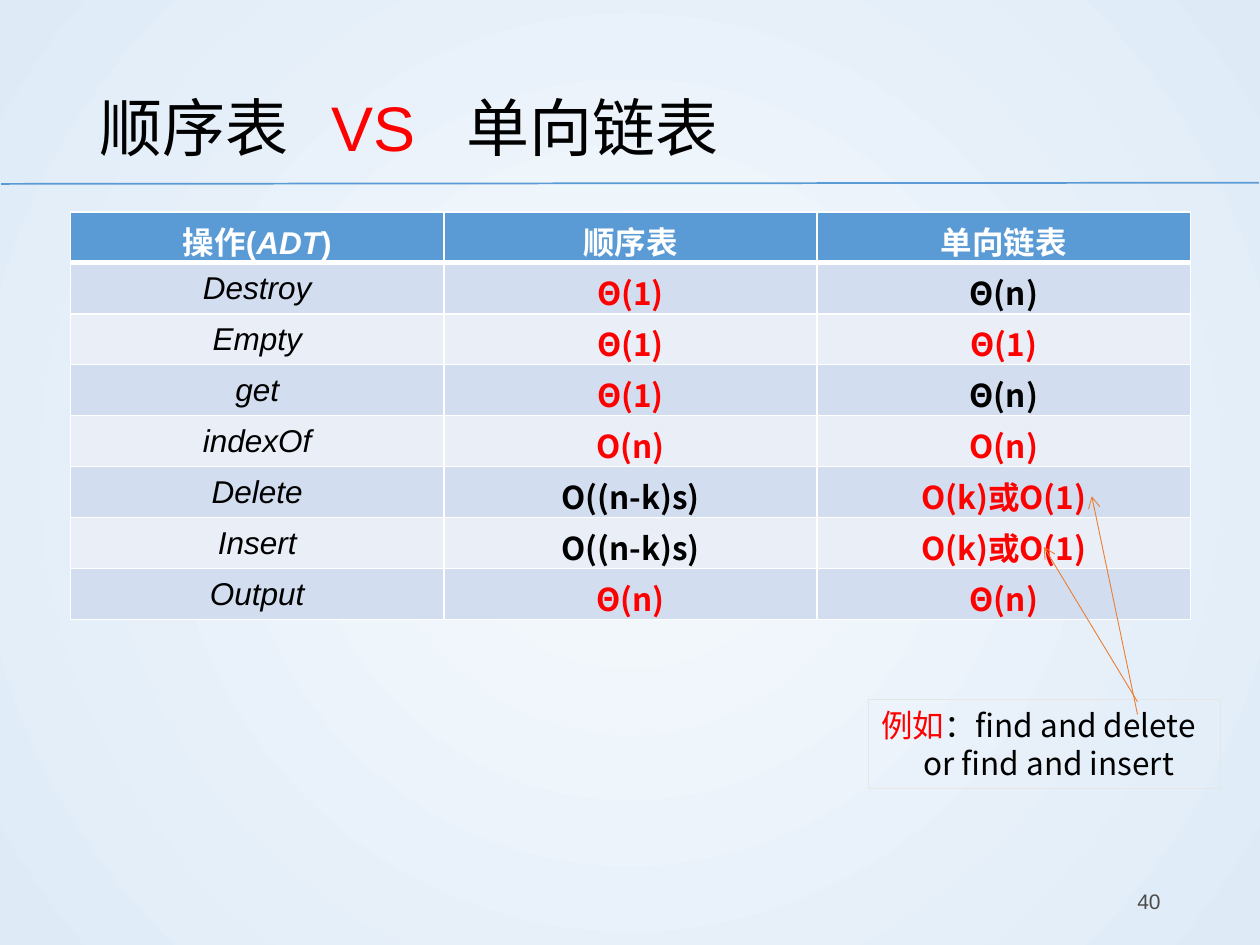
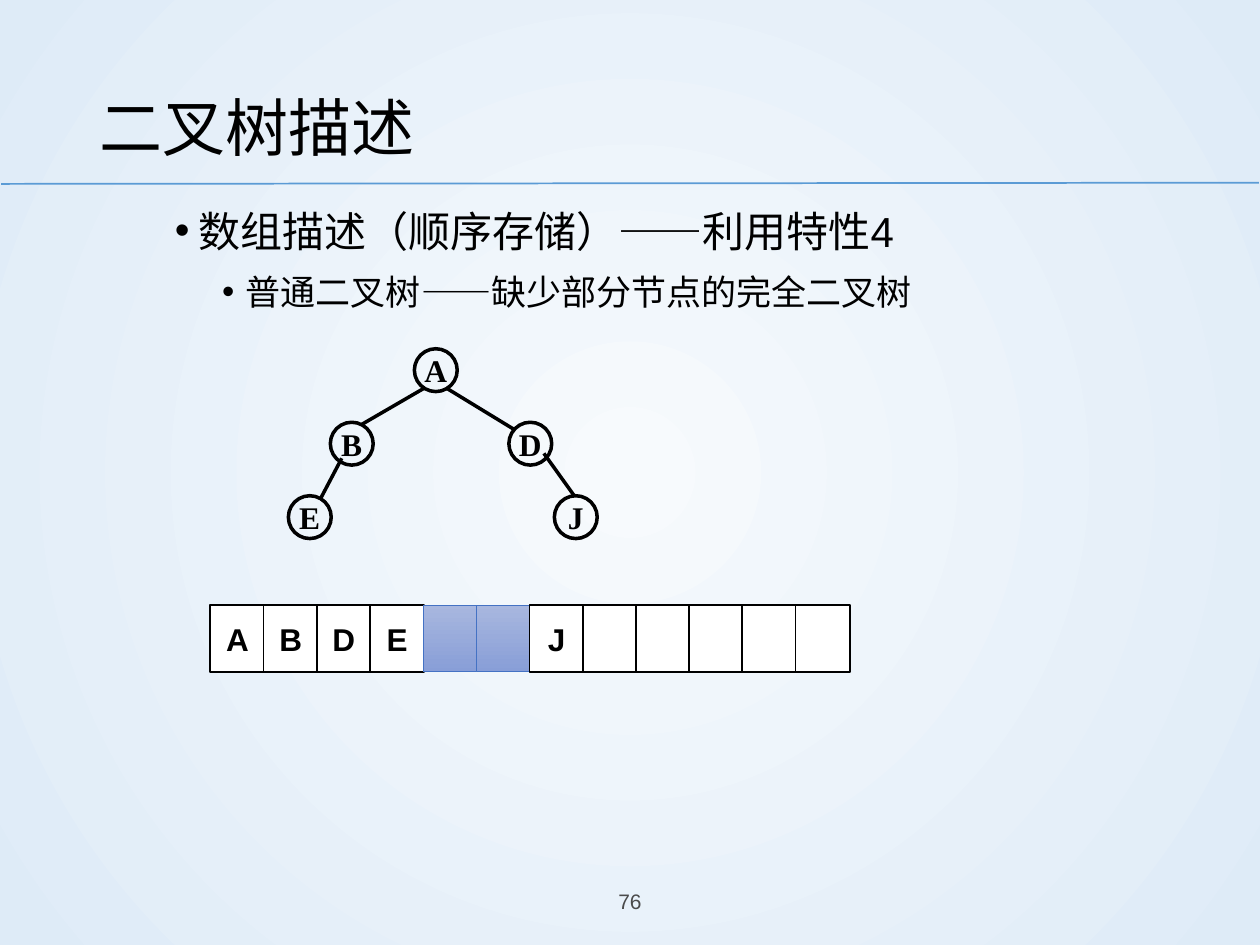
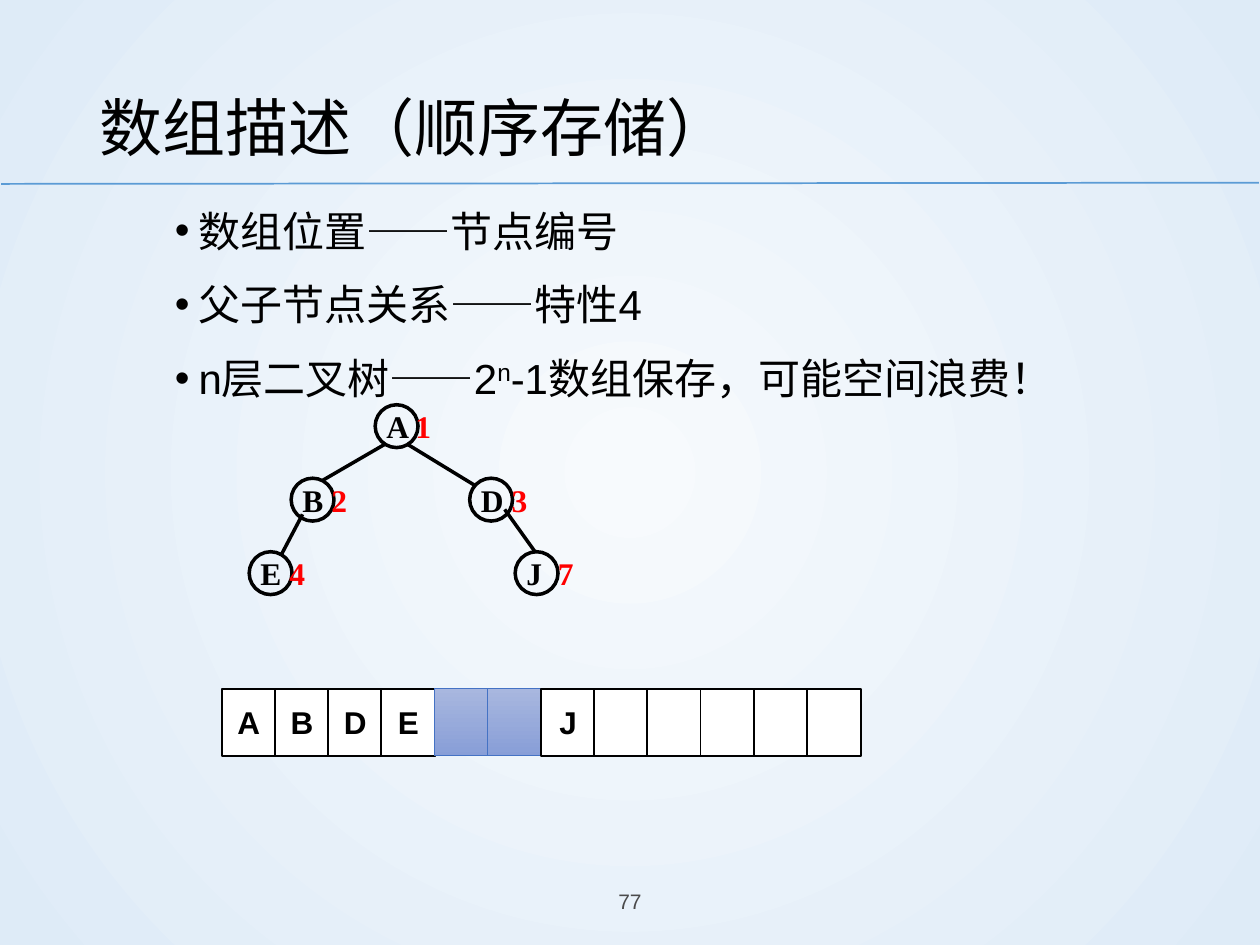
from dataclasses import dataclass

from lxml import etree
from pptx import Presentation, util as u
from pptx.dml.color import RGBColor
from pptx.enum import shapes, text
from pptx.oxml.ns import qn

Pt = u.Pt
LEFT, MID, RIGHT = text.PP_ALIGN.LEFT, text.PP_ALIGN.CENTER, text.PP_ALIGN.RIGHT


@dataclass(frozen=True)
class Theme:
    black: str = "000000"
    white: str = "FFFFFF"
    red: str = "FF0000"
    gray: str = "4B4B4B"
    blue: str = "5B9BD5"
    orange: str = "ED7D31"
    pale: str = "E7E6E6"
    edge: str = "4472C4"
    glow: tuple = ("F7FAFD", "DEEBF7")
    empty: tuple = ("A8B7DF", "889ED7")
    bands: tuple = ("D2DEEF", "EAEFF7")
    sans: str = "Arial"
    han: str = "Noto Sans CJK SC"
    serif: str = "Times New Roman"
    title: int = 36
    body: int = 24
    sub: int = 20
    label: int = 18
    page: int = 12


T = Theme()


def put(obj, fmt):
    for key, val in fmt.items():
        setattr(obj, key, val)


def add(node, tag, **attrs):
    kid = etree.SubElement(node, qn(tag))
    for key, val in attrs.items():
        kid.set(key, str(val))
    return kid


def style(size, color=T.black, name=T.sans, bold=False, italic=False):
    return {"size": Pt(size), "color": color, "name": name,
            "bold": bold, "italic": italic}


def write(para, runs, base, **fmt):
    """Fill a paragraph; each run is a string or (string, changes to base).
    The keys raw and color go beside the plain font attributes."""
    put(para, fmt)
    for item in runs:
        word, more = (item, {}) if isinstance(item, str) else item
        look = {**base, **more}
        raw = look.pop("raw", {})
        run = para.add_run()
        run.text = word
        run.font.color.rgb = RGBColor.from_string(look.pop("color"))
        put(run.font, look)
        props = run.font._element
        add(props, "a:ea", typeface=T.han)
        for key, val in raw.items():
            props.set(key, val)


def frame(shape, wrap=True, anchor=text.MSO_ANCHOR.MIDDLE, **more):
    body = shape.text_frame
    put(body, {"word_wrap": wrap, "vertical_anchor": anchor, **more})
    return body


def box(slide, left, top, wide, high, **more):
    shape = slide.shapes.add_textbox(Pt(left), Pt(top), Pt(wide), Pt(high))
    return frame(shape, **more)


def stroke(line, color, width):
    line.color.rgb = RGBColor.from_string(color)
    line.width = Pt(width)


def shade(fill, colors):
    fill.gradient()
    for stop, color in zip(fill.gradient_stops, colors):
        stop.color.rgb = RGBColor.from_string(color)


def solid(fill, color):
    fill.solid()
    fill.fore_color.rgb = RGBColor.from_string(color)


def form(slide, kind, left, top, wide, high, color, width):
    shape = slide.shapes.add_shape(kind, Pt(left), Pt(top), Pt(wide), Pt(high))
    shape.shadow.inherit = False
    shape.fill.background()
    stroke(shape.line, color, width)
    return shape


def link(slide, start, end, color, width, arrow=False):
    line = slide.shapes.add_connector(
        shapes.MSO_CONNECTOR.STRAIGHT, *map(Pt, (*start, *end)))
    stroke(line.line, color, width)
    props = line._element.spPr
    add(props, "a:effectLst")
    if arrow:
        add(props.find(qn("a:ln")), "a:tailEnd", type="arrow")


def glow(master):
    """Give every slide a round gradient centred on the page."""
    shade(master.background.fill, T.glow)
    grad = master.element.find(".//" + qn("a:gradFill"))
    grad.remove(grad.find(qn("a:lin")))
    way = add(grad, "a:path", path="circle")
    add(way, "a:fillToRect", l=50000, t=50000, r=50000, b=50000)


def page(deck, title, number, span, align, tabs=()):
    """Add a slide with title, rule and page number; span is its left, width."""
    slide = deck.slides.add_slide(deck.slide_layouts[6])
    link(slide, (0.7, 105.1), (719.3, 104.4), T.blue, 1)
    para = box(slide, 49.7, 28.8, 620.6, 77.8).paragraphs[0]
    write(para, title, style(T.title), line_spacing=1.2)
    if tabs:
        stops = add(para._p.get_or_add_pPr(), "a:tabLst")
        for pos in tabs:
            add(stops, "a:tab", pos=Pt(pos), algn="l")
    left, wide = span
    foot = box(slide, left, 500.4, wide, 28.8).paragraphs[0]
    write(foot, [str(number)], style(T.page, T.gray), alignment=align)
    return slide


def bullets(slide, items):
    body = box(slide, 92.9, 108, 612, 356.4, anchor=text.MSO_ANCHOR.TOP)
    for i, (level, runs) in enumerate(items):
        para = body.paragraphs[0] if i == 0 else body.add_paragraph()
        write(para, runs, style((T.body, T.sub)[level]), level=level,
              line_spacing=1.2, space_before=Pt((7.5, 3.8)[level]))
        props = para._p.get_or_add_pPr()
        props.set("marL", str(Pt(13.5 + 27 * level)))
        props.set("indent", str(Pt(-13.5)))
        add(props, "a:buFont", typeface=T.sans)
        add(props, "a:buChar", char="•")


def border(cell, last):
    """Draw white cell edges, thicker below the head row."""
    props = cell._tc.get_or_add_tcPr()
    for i, side in enumerate(("L", "R", "T", "B")):
        line = etree.Element(qn("a:ln" + side), w=str(Pt(last if side == "B" else 1)))
        add(add(line, "a:solidFill"), "a:srgbClr", val=T.white)
        props.insert(i, line)


def costs(slide, rows, left, top, wide, high):
    """Place the table; a leading * marks a red value."""
    grid = slide.shapes.add_table(len(rows), len(rows[0]), Pt(left), Pt(top),
                                  Pt(wide), Pt(high)).table
    for r, row in enumerate(rows):
        for c, word in enumerate(row):
            cell = grid.cell(r, c)
            put(cell, {"margin_left": Pt(9.4), "margin_right": Pt(9.4),
                       "margin_top": Pt(3.6), "margin_bottom": Pt(3.6),
                       "vertical_anchor": text.MSO_ANCHOR.MIDDLE})
            solid(cell.fill, T.bands[(r - 1) % 2] if r else T.blue)
            border(cell, 1 if r else 3)
            if r == 0:
                look = style(T.label, T.white, bold=True)
            elif c == 0:
                look = style(T.label, italic=True)
            else:
                color = T.red if word[0] == "*" else T.black
                look = style(T.label, color, T.han, bold=True)
            runs = word if isinstance(word, list) else [word.lstrip("*")]
            write(cell.text_frame.paragraphs[0], runs, look, alignment=MID)


def note(slide, left, top, wide, high):
    shape = form(slide, shapes.MSO_SHAPE.RECTANGLE, left, top, wide, high,
                 T.pale, 0.75)
    body = frame(shape, wrap=False)
    look = style(T.label, name=T.han)
    write(body.paragraphs[0], [("例如", {"color": T.red}), "：find and delete"],
          look, alignment=LEFT)
    more = body.add_paragraph()
    write(more, ["or find and insert"], look, alignment=LEFT)
    more._p.get_or_add_pPr().set("marL", str(Pt(24)))
    for start, end in (((153.5, 8.6), (127.4, -116)), ((153.5, 1.4), (100, -87.1))):
        link(slide, (left + start[0], top + start[1]),
             (left + end[0], top + end[1]), T.orange, 0.5, arrow=True)


NODES = {"A": (72, 0, 1), "B": (24, 42, 2), "D": (126, 42, 3),
         "E": (0, 84, 4), "J": (152, 84, 7)}
EDGES = [(78, 22.3, 42, 43.2), (90, 22.3, 129, 46.1),
         (30.5, 62.6, 18, 86.4), (146, 59.8, 163.5, 84.2)]


def tree(slide, left, top, ranked=False):
    """Draw the binary tree; ranked adds each node's number in red."""
    look = style(T.label, name=T.serif, bold=True)
    for name, (x, y, rank) in NODES.items():
        node = form(slide, shapes.MSO_SHAPE.OVAL, left + x, top + y, 24.5, 24.5,
                    T.black, 2)
        body = frame(node, wrap=False)
        if ranked:
            body.margin_left = Pt(2.9)
            gap = {"raw": {"spc": "225"}} if name == "J" else {}
            runs = [(name + " ", gap), (str(rank), {"color": T.red})]
        else:
            runs = [name]
        write(body.paragraphs[0], runs, look, alignment=LEFT if ranked else MID)
    for x, y, x2, y2 in EDGES:
        link(slide, (left + x, top + y), (left + x2, top + y2), T.black, 2)


def array(slide, left, top, slots=12, step=30.4):
    """Draw the slots in a row, tinting the places of missing nodes."""
    names = {rank: name for name, (_, _, rank) in NODES.items()}
    for i in range(1, slots + 1):
        gap = i < max(names) and i not in names
        slot = form(slide, shapes.MSO_SHAPE.RECTANGLE, left + (i - 1) * step, top,
                    31, 38.2, T.edge if gap else T.black, 0.5 if gap else 1)
        if gap:
            shade(slot.fill, T.empty)
            slot.fill.gradient_angle = 270
        else:
            solid(slot.fill, T.white)
        if i in names:
            write(frame(slot).paragraphs[0], [names[i]],
                  style(T.label, bold=True), alignment=MID)


ROWS = [
    [["操作(", ("ADT", {"italic": True}), ")"], "顺序表", "单向链表"],
    ["Destroy", "*Θ(1)", "Θ(n)"],
    ["Empty", "*Θ(1)", "*Θ(1)"],
    ["get", "*Θ(1)", "Θ(n)"],
    ["indexOf", "*Ο(n)", "*Ο(n)"],
    ["Delete", "Ο((n-k)s)", "*Ο(k)或Ο(1)"],
    ["Insert", "Ο((n-k)s)", "*Ο(k)或Ο(1)"],
    ["Output", "*Θ(n)", "*Θ(n)"],
]


def main():
    deck = Presentation()
    put(deck, {"slide_width": Pt(720), "slide_height": Pt(540)})
    glow(deck.slide_master)
    centre = (238.3, 243.4)

    slide = page(deck, ["顺序表\t", ("VS\t", {"color": T.red}), "单向链表"],
                 40, (508.3, 162), RIGHT, tabs=(132.5, 210))
    costs(slide, ROWS, 40.3, 121, 640, 233.3)
    note(slide, 496.5, 399.6, 200.9, 51.1)

    slide = page(deck, ["二叉树描述"], 76, centre, MID)
    bullets(slide, [(0, ["数组描述（顺序存储）——利用特性4"]),
                    (1, ["普通二叉树——缺少部分节点的完全二叉树"])])
    tree(slide, 164.8, 199.3)
    array(slide, 120.2, 345.8)

    slide = page(deck, ["数组描述（顺序存储）"], 77, centre, MID)
    power = ("n", {"raw": {"baseline": "30000"}})
    bullets(slide, [(0, ["数组位置——节点编号"]),
                    (0, ["父子节点关系——特性4"]),
                    (0, ["n层二叉树——2", power, "-1数组保存，可能空间浪费！"])])
    tree(slide, 142.4, 231.3, ranked=True)
    array(slide, 126.7, 393.7)

    deck.save("out.pptx")


if __name__ == "__main__":
    main()
